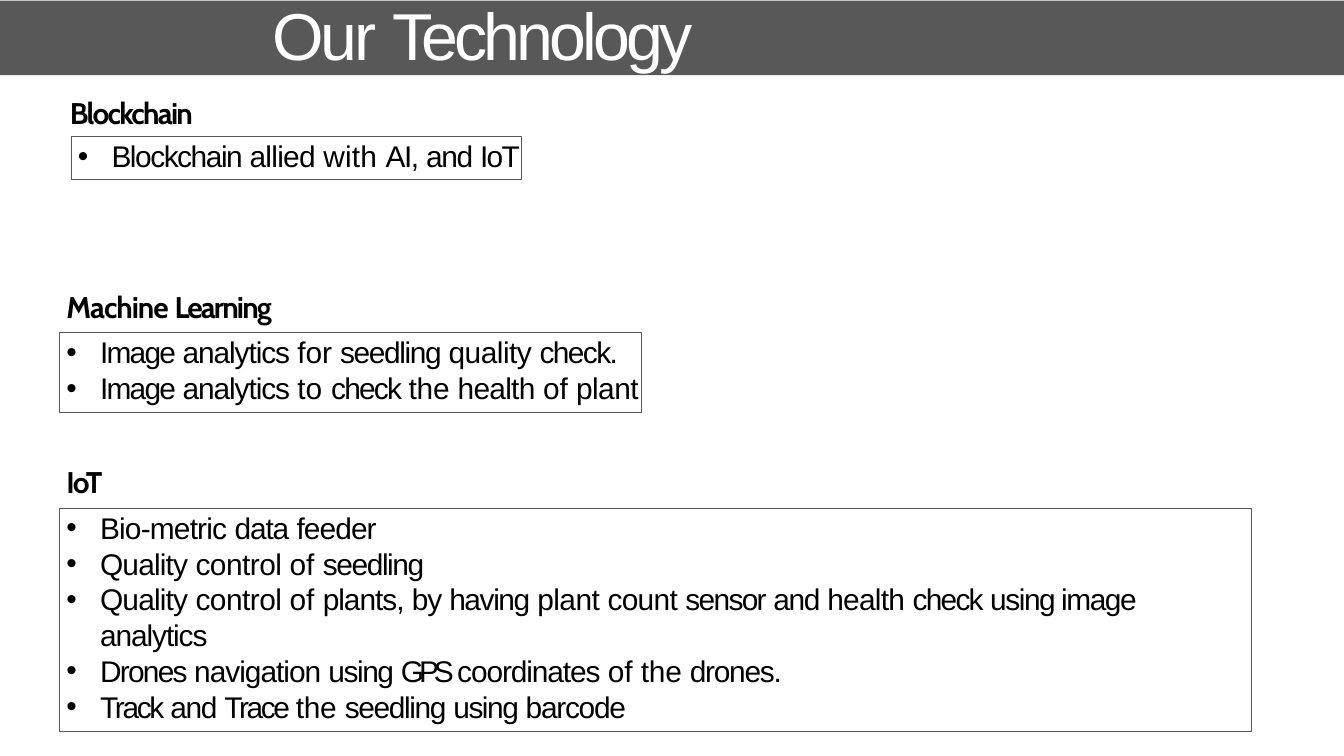
from dataclasses import dataclass

from lxml.etree import SubElement
from pptx import Presentation
from pptx.dml.color import RGBColor
from pptx.enum.shapes import MSO_SHAPE
from pptx.enum.text import MSO_ANCHOR, MSO_AUTO_SIZE, PP_ALIGN
from pptx.oxml.ns import qn
from pptx.util import Inches, Pt


@dataclass(frozen=True)
class Theme:
    grey: RGBColor = RGBColor(0x58, 0x58, 0x58)
    white: RGBColor = RGBColor(0xFF, 0xFF, 0xFF)
    black: RGBColor = RGBColor(0, 0, 0)
    title_size: float = 71
    body_size: float = 32
    body_font: str = "Arial"
    heading_font: str = "Cabin"
    frame_width: float = 0.75


theme = Theme()

# Letter spacing in points, by word
TITLE_TRACKING = {"Our": -3.1, "Technology": -4.2}
HEADING_TRACKING = {"Blockchain": -1.88, "Machine": -1.1, "Learning": -2, "IoT": -1.7}
BODY_TRACKING = {
    "Blockchain": -1.6, "allied": -0.8, "with": 0.2, "AI,": -1.6, "and": -1.5, "IoT": -1.9,
    "Image": -1.9, "analytics": -1.2, "for": -0.1, "seedling": -1.5, "quality": -0.6,
    "check.": -1.7, "to": 0.2, "check": -1.9, "the": -0.3, "health": -0.8, "of": -0.1,
    "plant": -0.6, "Bio-metric": -0.9, "data": -1.2, "feeder": -1, "Quality": -0.9,
    "control": -0.6, "plants,": -1.1, "by": -1.4, "having": -1.5, "count": -0.8,
    "sensor": -1.8, "using": -1.6, "image": -1.6, "Drones": -1.9, "navigation": -1.1,
    "GPS": -5.4, "coordinates": -1.2, "drones.": -1.4, "Track": -2.5, "Trace": -2.6,
    "barcode": -1.4,
}
HEADING = dict(font=theme.heading_font, bold=True, tracking=HEADING_TRACKING, indent=0.01)
BULLET = dict(tracking=BODY_TRACKING, indent=0.51, bullet=True)


def write(frame, text, *, tracking, font=theme.body_font, size=theme.body_size,
          color=theme.black, bold=False, indent=0, bullet=False, before=0):
    """Add a paragraph, one run per word so that each keeps its own tracking."""
    paragraph = frame.paragraphs[0]
    if paragraph.runs:
        paragraph = frame.add_paragraph()
    paragraph.alignment = PP_ALIGN.LEFT
    paragraph.space_before = Pt(before)
    properties = paragraph._p.get_or_add_pPr()
    properties.set("marL", str(Inches(indent)))
    properties.set("indent", str(Inches(-0.5 if bullet else 0)))
    if bullet:
        SubElement(properties, qn("a:buFont")).set("typeface", theme.body_font)
        SubElement(properties, qn("a:buChar")).set("char", "•")
    words = text.split()
    for position, word in enumerate(words, 1):
        run = paragraph.add_run()
        run.text = word if position == len(words) else word + " "
        run.font.name, run.font.size, run.font.bold = font, Pt(size), bold
        run.font.color.rgb = color
        run._r.get_or_add_rPr().set("spc", str(round(tracking[word] * 100)))


def prepare(frame, top_inset):
    frame.word_wrap = True
    frame.auto_size = MSO_AUTO_SIZE.NONE
    frame.vertical_anchor = MSO_ANCHOR.TOP
    frame.margin_left = frame.margin_right = frame.margin_bottom = 0
    frame.margin_top = Inches(top_inset)
    return frame


prs = Presentation()
prs.slide_width, prs.slide_height = Inches(20), Inches(11.25)
slide = prs.slides.add_slide(prs.slide_layouts[5])
shapes = slide.shapes

# Title on its bar
bar = shapes.add_shape(MSO_SHAPE.RECTANGLE, 0, Inches(0.01), Inches(20), Inches(1.11))
bar.shadow.inherit = False
bar.fill.solid()
bar.fill.fore_color.rgb = theme.grey
bar.line.fill.background()
shapes._spTree.insert(2, bar._element)  # behind the title

title = shapes.title
title.left, title.top = Inches(4.03), Inches(-0.1)
title.width, title.height = Inches(11.94), Inches(1.21)
write(prepare(title.text_frame, 0.01), "Our Technology", tracking=TITLE_TRACKING,
      size=theme.title_size, color=theme.white, indent=0.02)

# Outlined frames around the bullets of each section
section_frames = []
for box in [(1.06, 2.03, 6.7, 0.64), (0.89, 4.95, 8.65, 1.18), (0.89, 7.56, 17.73, 3.33)]:
    outline = shapes.add_shape(MSO_SHAPE.RECTANGLE, *map(Inches, box))
    outline.shadow.inherit = False
    outline.fill.background()
    outline.line.color.rgb = theme.grey
    outline.line.width = Pt(theme.frame_width)
    section_frames.append(outline)

# Blockchain
blockchain = shapes.add_textbox(Inches(1.03), Inches(1.4), Inches(2.01), Inches(0.56))
write(prepare(blockchain.text_frame, 0.01), "Blockchain", **HEADING)
write(prepare(section_frames[0].text_frame, 0.02), "Blockchain allied with AI, and IoT",
      **{**BULLET, "indent": 0.6})

# Machine Learning and IoT
sections = [
    ("Machine Learning", 0, [
        "Image analytics for seedling quality check.",
        "Image analytics to check the health of plant",
    ]),
    ("IoT", 62, [
        "Bio-metric data feeder",
        "Quality control of seedling",
        "Quality control of plants, by having plant count sensor and health check "
        "using image analytics",
        "Drones navigation using GPS coordinates of the drones.",
        "Track and Trace the seedling using barcode",
    ]),
]
technologies = shapes.add_textbox(Inches(0.98), Inches(4.13), Inches(17.37), Inches(6.13))
technologies_text = prepare(technologies.text_frame, 0.16)
for heading, gap, points in sections:
    write(technologies_text, heading, before=gap, **HEADING)
    for number, point in enumerate(points):
        write(technologies_text, point, before=0 if number else 10.6, **BULLET)

prs.save("out.pptx")
